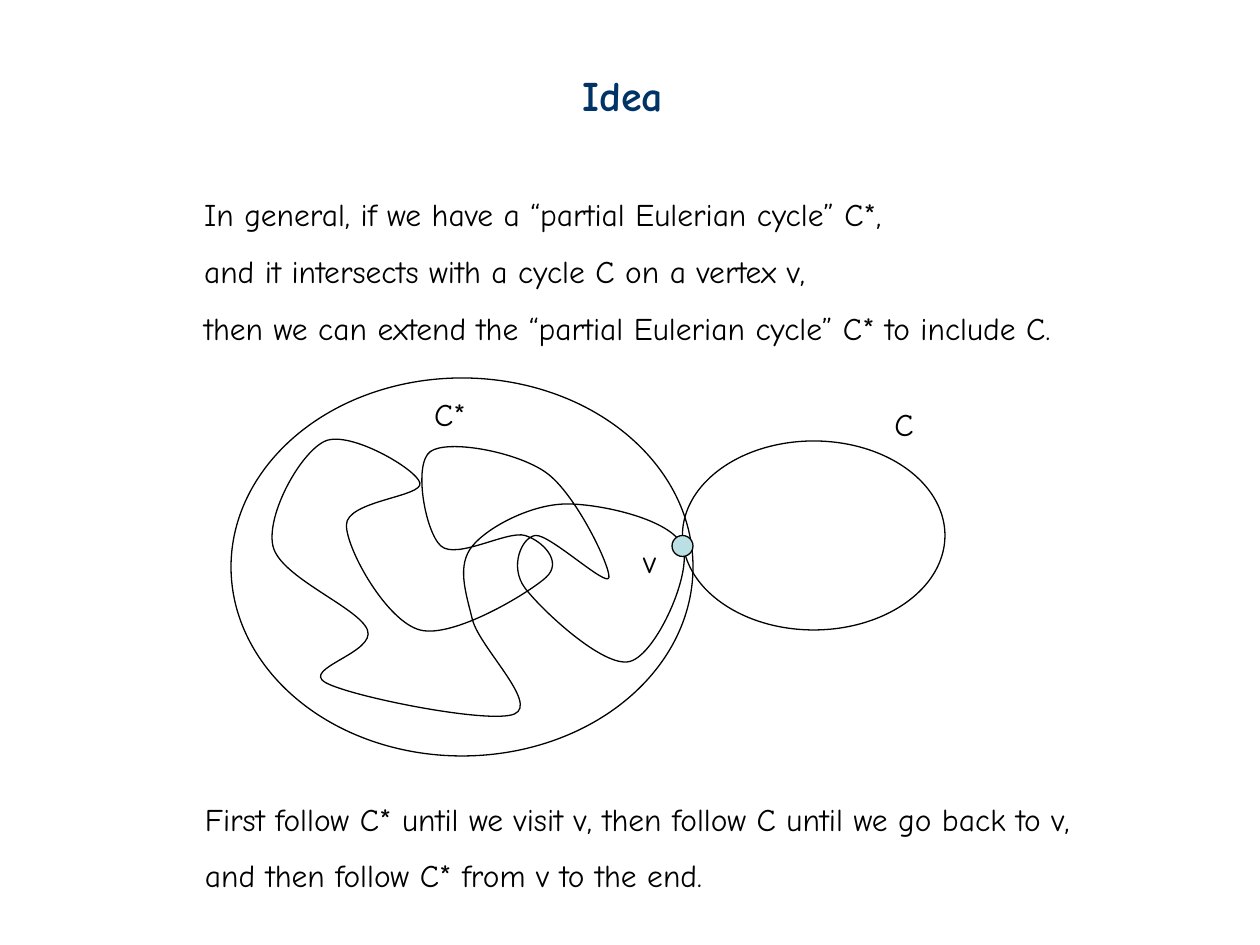
import pptx
import pptx.util
import pptx.dml.color
import pptx.enum.shapes
import pptx.enum.text
import pptx.oxml.ns
from dataclasses import dataclass
from lxml import etree

Pt = pptx.util.Pt
Color = pptx.dml.color.RGBColor.from_string
Enum = pptx.enum.text
Tag = pptx.oxml.ns.qn


@dataclass(frozen=True)
class Theme:
    face: str = "Comic Neue"
    navy: str = "003366"
    ink: str = "000000"
    paper: str = "FFFFFF"
    dot: str = "BBE0E3"
    head: int = 24
    body: int = 18
    line: float = 0.75


THEME = Theme()

KNOTS = [
    (348, 330), (312, 270), (246, 258), (252, 312), (300, 306), (312, 330),
    (240, 360), (198, 300), (240, 276), (186, 252), (156, 312), (210, 360),
    (186, 390), (294, 408), (270, 354), (270, 312), (324, 288), (390, 312),
    (360, 378), (300, 336), (306, 306),
]

INTRO = [
    "In general, if we have a “partial Eulerian cycle” C*,",
    "and it intersects with a cycle C on a vertex v,",
    "then we can extend the “partial Eulerian cycle” C* to include C.",
]
ROUTE = [
    "First follow C* until we visit v, then follow C until we go back to v,",
    "and then follow C* from v to the end.",
]


def apply(target, values):
    for name, value in values.items():
        setattr(target, name, value)


def place(shape, box):
    names = ("left", "top", "width", "height")
    apply(shape, dict(zip(names, map(Pt, box))))


def write(shape, lines, size, color, bold=False):
    frame = shape.text_frame
    frame.text = "\n".join(lines)
    apply(frame, {
        "word_wrap": False,
        "auto_size": Enum.MSO_AUTO_SIZE.SHAPE_TO_FIT_TEXT,
        "vertical_anchor": Enum.MSO_ANCHOR.TOP,
    })
    for i, para in enumerate(frame.paragraphs):
        para.alignment = Enum.PP_ALIGN.LEFT
        if i:
            para.line_spacing = 1.5
        apply(para.font, {"name": THEME.face, "size": Pt(size), "bold": bold})
        para.font.color.rgb = Color(color)


def add_title(slide, text, box):
    title = slide.shapes.title
    place(title, box)
    write(title, [text], THEME.head, THEME.navy, True)


def add_text(slide, lines, box):
    shape = slide.shapes.add_textbox(*map(Pt, box))
    write(shape, lines, THEME.body, THEME.ink)


def paint(shape, fill=None):
    shape.shadow.inherit = False
    if fill:
        shape.fill.solid()
        shape.fill.fore_color.rgb = Color(fill)
    else:
        shape.fill.background()
    shape.line.color.rgb = Color(THEME.ink)
    shape.line.width = Pt(THEME.line)


def add_oval(slide, box, fill=None):
    kind = pptx.enum.shapes.MSO_SHAPE.OVAL
    paint(slide.shapes.add_shape(kind, *map(Pt, box)), fill)


def bend(a, b, c, d):
    return b + (c - a) / 6, c - (d - b) / 6, c


def curve(shape):
    legs = list(shape._element.iter(Tag("a:lnTo")))
    for trio in zip(legs[::3], legs[1::3], legs[2::3]):
        arc = etree.Element(Tag("a:cubicBezTo"))
        trio[0].addprevious(arc)
        for leg in trio:
            arc.append(leg[0])
            leg.getparent().remove(leg)


def add_loop(slide, knots):
    count = len(knots)
    points = []
    for i in range(count):
        near = [knots[(i + k) % count] for k in (-1, 0, 1, 2)]
        across, down = (bend(*axis) for axis in zip(*near))
        points += zip(map(Pt, across), map(Pt, down))
    pen = slide.shapes.build_freeform(*map(Pt, knots[0]))
    pen.add_line_segments(points, close=True)
    shape = pen.convert_to_shape()
    curve(shape)
    paint(shape)


def main():
    deck = pptx.Presentation()
    apply(deck, {"slide_width": Pt(720), "slide_height": Pt(540)})
    slide = deck.slides.add_slide(deck.slide_layouts[5])
    add_title(slide, "Idea", (325.5, 36, 62, 36))
    add_text(slide, INTRO, (109.5, 108, 499.5, 93.5))
    add_oval(slide, (132, 216, 264, 216), THEME.paper)
    add_loop(slide, KNOTS)
    add_oval(slide, (390, 252, 150, 108))
    add_oval(slide, (384, 306, 12, 12), THEME.dot)
    add_text(slide, ["v"], (360.5, 306, 21.5, 29))
    add_text(slide, ROUTE, (110, 453.5, 510.5, 61))
    add_text(slide, ["C*"], (241, 222, 32.5, 29))
    add_text(slide, ["C"], (504, 228, 25, 29))
    deck.save("out.pptx")


if __name__ == "__main__":
    main()
